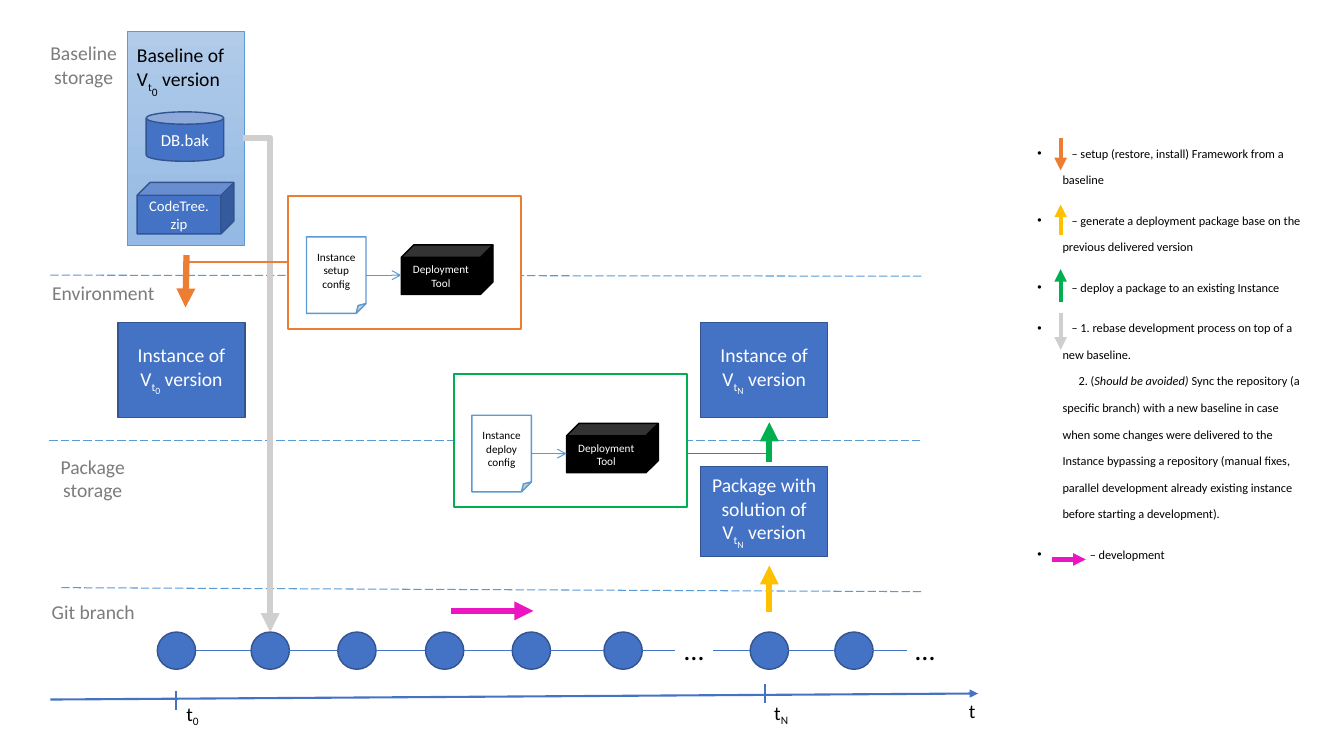
"""Build the slide on delivering baselines and packages along a Git branch."""
import pptx
import pptx.dml.color
import pptx.enum.dml
import pptx.enum.shapes
import pptx.enum.text
import pptx.oxml.ns
import pptx.util
from lxml import etree

Inches = pptx.util.Inches
Pt = pptx.util.Pt
RGBColor = pptx.dml.color.RGBColor
Shape = pptx.enum.shapes.MSO_SHAPE
Align = pptx.enum.text.PP_ALIGN
Anchor = pptx.enum.text.MSO_ANCHOR
qn = pptx.oxml.ns.qn

BLACK = RGBColor(0x00, 0x00, 0x00)
WHITE = RGBColor(0xFF, 0xFF, 0xFF)
GREY_TEXT = RGBColor(0x7C, 0x7C, 0x7C)
BLUE = RGBColor(0x44, 0x72, 0xC4)
DARK_BLUE = RGBColor(0x32, 0x54, 0x91)
SKY = RGBColor(0x5B, 0x9B, 0xD5)
PALE_SKY = RGBColor(0xB1, 0xCB, 0xE9)
MID_SKY = RGBColor(0x93, 0xB9, 0xE4)
ORANGE = RGBColor(0xED, 0x7D, 0x31)
GREEN = RGBColor(0x00, 0xB0, 0x50)
YELLOW = RGBColor(0xFF, 0xC0, 0x00)
SILVER = RGBColor(0xD0, 0xCE, 0xCE)
PINK = RGBColor(0xEB, 0x15, 0xC2)


def version_of(prefix, index, index_size=12):
    return [[(prefix + " V", 0, 14), ("t", -25, 14), (index, -50, index_size), (" version", 0, 14)]]


class DeliverySlide:
    font = "Calibri"

    def __init__(self, slide):
        self.slide = slide
        self.shapes = slide.shapes

    def fill_text(self, frame, content, size, color, align):
        if isinstance(content, str):
            content = [[(line, 0, size)] for line in content.split("\n")]
        for number, runs in enumerate(content):
            paragraph = frame.add_paragraph() if number else frame.paragraphs[0]
            paragraph.alignment = align
            self.style(paragraph, size, color)
            for words, baseline, run_size in runs:
                run = paragraph.add_run()
                run.text = words
                if run_size != size:
                    run.font.size = Pt(run_size)
                if baseline:
                    run.font._element.set("baseline", str(baseline * 1000))

    def style(self, paragraph, size, color):
        paragraph.font.name = self.font
        paragraph.font.size = Pt(size)
        paragraph.font.color.rgb = color

    def label(self, left, top, width, height, content, size=14, color=BLACK, align=Align.LEFT):
        box = self.shapes.add_textbox(Inches(left), Inches(top), Inches(width), Inches(height))
        box.text_frame.word_wrap = True
        self.fill_text(box.text_frame, content, size, color, align)

    def block(self, kind, left, top, width, height, content=None, size=14,
              fill=BLUE, line=DARK_BLUE, weight=1, color=WHITE):
        shape = self.shapes.add_shape(kind, Inches(left), Inches(top), Inches(width), Inches(height))
        shape.shadow.inherit = False
        shape.fill.solid()
        shape.fill.fore_color.rgb = fill
        shape.line.color.rgb = line
        shape.line.width = Pt(weight)
        if content:
            shape.text_frame.vertical_anchor = Anchor.MIDDLE
            self.fill_text(shape.text_frame, content, size, color, Align.CENTER)
        return shape

    def line(self, x1, y1, x2, y2, color, weight, head=None, dashed=False, bent=False):
        kind = pptx.enum.shapes.MSO_CONNECTOR.ELBOW if bent else pptx.enum.shapes.MSO_CONNECTOR.STRAIGHT
        connector = self.shapes.add_connector(kind, Inches(x1), Inches(y1), Inches(x2), Inches(y2))
        connector.line.color.rgb = color
        connector.line.width = Pt(weight)
        if dashed:
            connector.line.dash_style = pptx.enum.dml.MSO_LINE.LONG_DASH
        properties = connector._element.spPr
        if bent:
            properties.find(qn("a:prstGeom")).set("prst", "bentConnector2")
        if head:
            etree.SubElement(properties.find(qn("a:ln")), qn("a:tailEnd"), type=head)
        etree.SubElement(properties, qn("a:effectLst"))

    def baseline_box(self):
        box = self.block(Shape.RECTANGLE, 1.26, 0.31, 1.16, 2.13, line=SKY, weight=0.5)
        box.fill.gradient()
        box.fill.gradient_angle = 270
        for position, (stop, color) in enumerate(zip(box.fill.gradient_stops, (PALE_SKY, MID_SKY))):
            stop.color.rgb = color
            stop.position = position
        self.block(Shape.CAN, 1.45, 1.11, 0.77, 0.49, "DB.bak", 12)
        self.label(1.26, 0.38, 1.16, 0.81, version_of("Baseline of", "0", 14))
        self.block(Shape.CUBE, 1.36, 1.81, 0.96, 0.51, "CodeTree.zip", 10.5)

    def tool_card(self, left, top, purpose, color):
        self.block(Shape.RECTANGLE, left, top, 2.31, 1.32, fill=WHITE, line=color, weight=1.5)
        self.block(Shape.CUBE, left + 1.12, top + 0.49, 0.91, 0.49, "Deployment Tool", 8,
                   fill=BLACK, line=BLACK)
        self.block(Shape.FOLDED_CORNER, left + 0.18, top + 0.41, 0.59, 0.76,
                   f"Instance\n{purpose} config", 8, fill=WHITE, line=SKY, color=BLACK)
        self.line(left + 0.77, top + 0.79, left + 1.12, top + 0.79, SKY, 0.75, "arrow")

    def legend(self, left, top, width, height, entries):
        box = self.shapes.add_textbox(Inches(left), Inches(top), Inches(width), Inches(height))
        frame = box.text_frame
        frame.word_wrap = True
        for number, (runs, tab) in enumerate(entries):
            paragraph = frame.add_paragraph() if number else frame.paragraphs[0]
            paragraph.line_spacing = 1.8
            paragraph.space_before = Pt(10 if number and tab else 0)
            properties = paragraph._p.get_or_add_pPr()
            properties.set("marL", str(Inches(0.25)))
            properties.set("indent", str(Inches(-0.25 if tab else 0.16)))
            if tab:
                etree.SubElement(properties, qn("a:buFont"), typeface="Arial")
                etree.SubElement(properties, qn("a:buChar"), char="•")
                tabs = etree.SubElement(properties, qn("a:tabLst"))
                etree.SubElement(tabs, qn("a:tab"), pos=str(Inches(tab)), algn="l")
            self.style(paragraph, 8.8, BLACK)
            for words, italic in runs:
                run = paragraph.add_run()
                run.text = words
                if italic:
                    run.font.italic = True


def main():
    deck = pptx.Presentation()
    deck.slide_width, deck.slide_height = Inches(13.33), Inches(7.5)
    page = DeliverySlide(deck.slides.add_slide(deck.slide_layouts[6]))

    page.line(0.5, 6.94, 9.7, 6.88, BLUE, 1.5, "triangle")
    for x, y in ((1.75, 6.86), (7.59, 6.79)):
        page.line(x, y, x, y + 0.18, BLUE, 1.5)
    for x, y, index in ((1.75, 6.91, "0"), (7.58, 6.9, "N")):
        page.label(x, y, 0.38, 0.34, [[("t", 0, 14), (index, -25, 14)]])
    page.label(9.51, 6.88, 0.38, 0.34, "t")

    for x1, y1, x2, y2 in ((0.61, 5.83, 9.15, 5.87), (0.49, 4.37, 9.15, 4.37), (0.5, 2.73, 9.17, 2.74)):
        page.line(x1, y1, x2, y2, SKY, 0.75, dashed=True)
    for x, y, width, height, tier in ((0.38, 0.36, 0.9, 0.57, "Baseline\nstorage"),
                                      (0.4, 2.74, 1.25, 0.34, "Environment"),
                                      (0.47, 4.46, 0.9, 0.57, "Package\nstorage"),
                                      (0.4, 5.9, 1.05, 0.34, "Git branch")):
        page.label(x, y, width, height, tier, color=GREY_TEXT, align=Align.CENTER)

    for commit in (1.56, 2.49, 3.35, 4.22, 5.08, 5.99, 7.44, 8.28):
        page.block(Shape.FLOWCHART_CONNECTOR, commit, 6.27, 0.38, 0.37)
    for start, end in ((1.94, 2.49), (2.86, 3.35), (3.73, 4.22), (4.6, 5.08), (5.46, 5.99),
                       (6.37, 6.69), (7.07, 7.44), (7.81, 8.28), (8.65, 9)):
        page.line(start, 6.45, end, 6.45, BLUE, 0.5)
    for gap in (6.69, 8.98):
        page.label(gap, 6.23, 0.38, 0.44, "…", 20)

    page.baseline_box()
    page.block(Shape.RECTANGLE, 1.17, 3.2, 1.26, 0.94, version_of("Instance of", "0"))
    page.block(Shape.RECTANGLE, 6.95, 3.2, 1.26, 0.94, version_of("Instance of", "N"))
    page.block(Shape.RECTANGLE, 6.95, 4.63, 1.26, 0.89, version_of("Package with solution of", "N"))

    page.line(2.41, 1.37, 2.68, 6.27, SILVER, 4.5, "triangle", bent=True)
    for x1, y1, x2, y2, color, weight in ((1.85, 2.53, 1.84, 3.05, ORANGE, 4.5),
                                          (7.63, 4.58, 7.63, 4.19, GREEN, 4.5),
                                          (7.63, 6.07, 7.63, 5.61, YELLOW, 4.5),
                                          (4.47, 6.06, 5.29, 6.06, PINK, 4.5),
                                          (10.52, 1.37, 10.52, 1.69, ORANGE, 3),
                                          (10.52, 2.33, 10.52, 2.03, YELLOW, 3),
                                          (10.52, 3, 10.52, 2.67, GREEN, 3),
                                          (10.52, 3.11, 10.52, 3.47, SILVER, 3),
                                          (10.43, 5.55, 10.77, 5.55, PINK, 3)):
        page.line(x1, y1, x2, y2, color, weight, "triangle")

    page.tool_card(2.86, 1.94, "setup", ORANGE)
    page.tool_card(4.5, 3.71, "deploy", GREEN)
    page.line(1.85, 2.6, 2.86, 2.6, ORANGE, 1)
    page.line(6.8, 4.5, 7.64, 4.5, GREEN, 1)

    page.legend(10.19, 1.28, 2.89, 5.31, [
        ([("\t– setup (restore, install) Framework from a baseline", False)], 0.34),
        ([("\t– generate a deployment package base on the previous delivered version", False)], 0.34),
        ([("\t– deploy a package to an existing Instance", False)], 0.34),
        ([("\t– 1. rebase development process on top of a new baseline.", False)], 0.34),
        ([("2. (", False), ("Should be avoided) ", True),
          ("Sync the repository (a specific branch) with a new baseline in case when some changes "
           "were delivered to the Instance bypassing a repository (manual fixes, parallel development "
           "already existing instance before starting a development).", False)], None),
        ([("\t– development", False)], 0.52)])
    deck.save("out.pptx")


if __name__ == "__main__":
    main()
